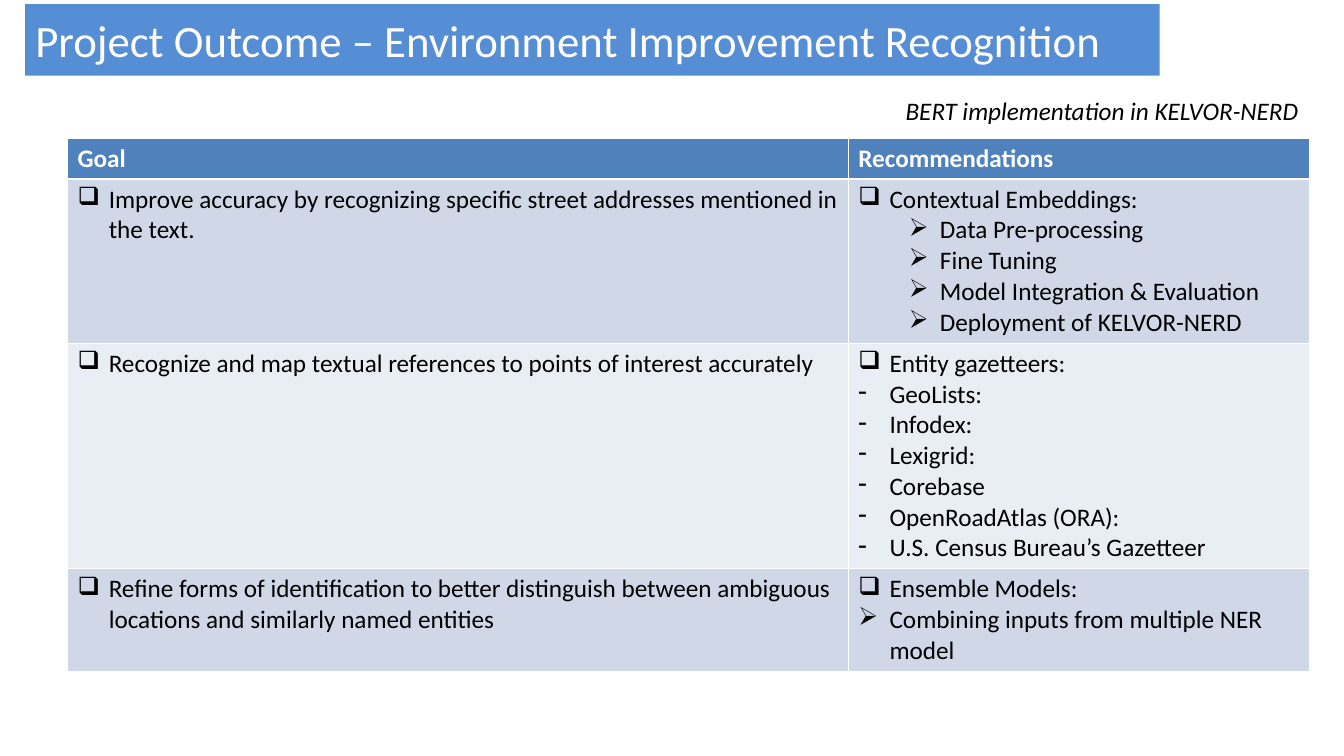
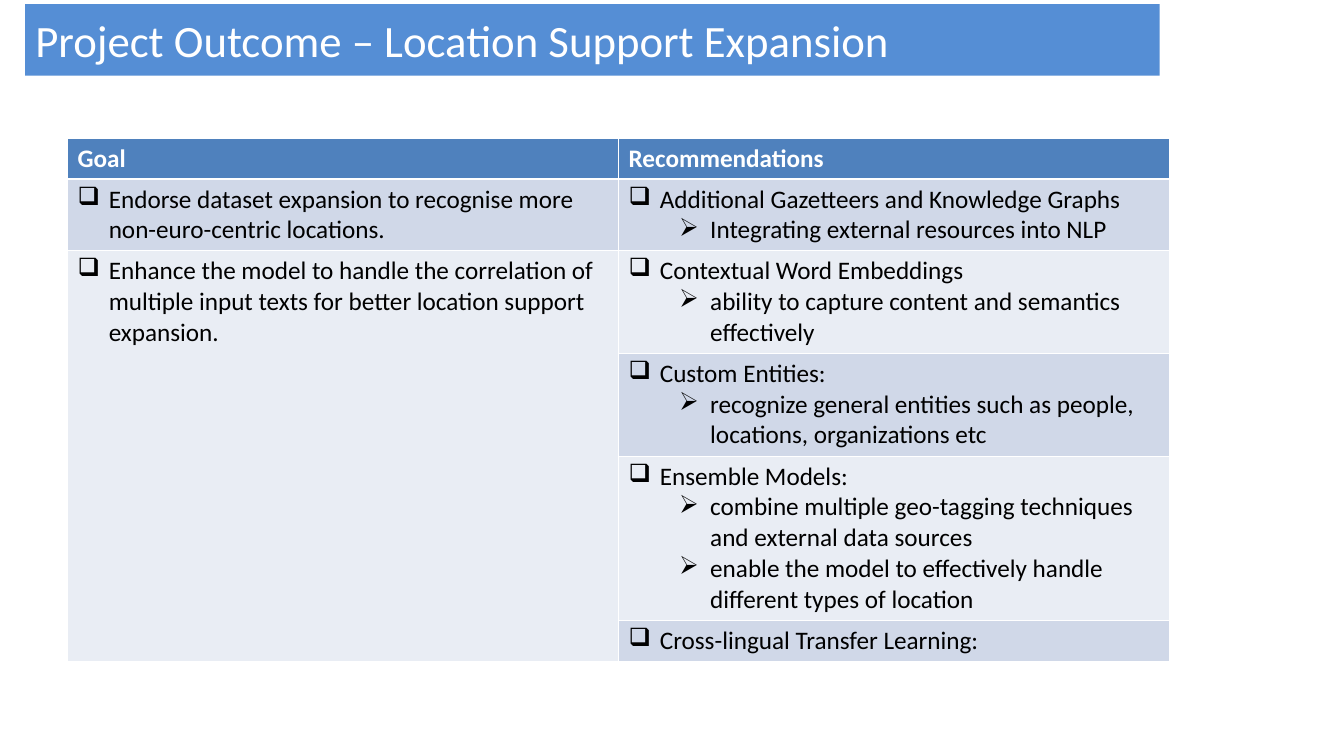
import collections

import pptx
import pptx.dml.color
import pptx.enum.text
import pptx.oxml
import pptx.oxml.ns
import pptx.util

Inches = pptx.util.Inches
Pt = pptx.util.Pt
RGBColor = pptx.dml.color.RGBColor
Align = pptx.enum.text.PP_ALIGN
Anchor = pptx.enum.text.MSO_ANCHOR
AutoSize = pptx.enum.text.MSO_AUTO_SIZE

BAND_BLUE = RGBColor(0x55, 0x8E, 0xD5)
HEADER_BLUE = RGBColor(0x4F, 0x81, 0xBD)
ROW_DARK = RGBColor(0xD0, 0xD8, 0xE8)
ROW_LIGHT = RGBColor(0xE9, 0xED, 0xF4)
WHITE = RGBColor(0xFF, 0xFF, 0xFF)
BLACK = RGBColor(0x00, 0x00, 0x00)

Bullet = collections.namedtuple("Bullet", "mark indent level")
BOX = Bullet("❑", 0.31, 0)
STEP = Bullet("➢", 0.81, 1)
POINT = Bullet("➢", 0.31, 1)
DASH = Bullet("-", 0.31, 0)
HANGING = 0.31

HEADINGS = ("Goal", "Recommendations")
THIN, THICK = 0.45, 1.47

RECOGNITION = [
    ([(BOX, "Improve accuracy by recognizing specific street addresses mentioned in the text.")],
     [(BOX, "Contextual Embeddings:"),
      (STEP, "Data Pre-processing"),
      (STEP, "Fine Tuning"),
      (STEP, "Model Integration & Evaluation"),
      (STEP, "Deployment of KELVOR-NERD")]),
    ([(BOX, "Recognize and map textual references to points of interest accurately")],
     [(BOX, "Entity gazetteers:"),
      (DASH, "GeoLists:"),
      (DASH, "Infodex:"),
      (DASH, "Lexigrid:"),
      (DASH, "Corebase"),
      (DASH, "OpenRoadAtlas (ORA):"),
      (DASH, "U.S. Census Bureau’s Gazetteer")]),
    ([(BOX, "Refine forms of identification to better distinguish between ambiguous "
            "locations and similarly named entities")],
     [(BOX, "Ensemble Models:"),
      (POINT, "Combining inputs from multiple NER model")]),
]

EXPANSION = [
    ([(BOX, "Endorse dataset expansion to recognise more non-euro-centric locations.")],
     [(BOX, "Additional Gazetteers and Knowledge Graphs"),
      (STEP, "Integrating external resources into NLP")]),
    ([(BOX, "Enhance the model to handle the correlation of multiple input texts "
            "for better location support expansion.")],
     [(BOX, "Contextual Word Embeddings"),
      (STEP, "ability to capture content and semantics effectively")]),
    ([],
     [(BOX, "Custom Entities:"),
      (STEP, "recognize general entities such as people, locations, organizations etc")]),
    ([],
     [(BOX, "Ensemble Models:"),
      (STEP, "combine multiple geo-tagging techniques and external data sources"),
      (STEP, "enable the model to effectively handle different types of location")]),
    ([],
     [(BOX, "Cross-lingual Transfer Learning:")]),
]


class Deck:
    font = "Calibri"
    title_size = 32
    text_size = 18

    def __init__(self):
        self.presentation = pptx.Presentation()
        self.presentation.slide_width = Inches(13.34)
        self.presentation.slide_height = Inches(7.5)
        self.slide = None

    def add_slide(self, heading):
        self.slide = self.presentation.slides.add_slide(self.presentation.slide_layouts[5])
        band = self.slide.shapes.title
        band.left, band.top = Inches(0.25), Inches(0.04)
        band.width, band.height = Inches(11.26), Inches(0.71)
        band.fill.solid()
        band.fill.fore_color.rgb = BAND_BLUE
        frame = band.text_frame
        frame.auto_size = AutoSize.NONE
        frame.word_wrap = True
        frame.vertical_anchor = Anchor.MIDDLE
        frame.paragraphs[0].alignment = Align.LEFT
        self.add_run(frame.paragraphs[0], heading, WHITE, size=self.title_size)

    def add_run(self, paragraph, text, color, size=text_size, bold=False, italic=False):
        run = paragraph.add_run()
        run.text = text
        run.font.name = self.font
        run.font.size = Pt(size)
        run.font.bold = bold
        run.font.italic = italic
        run.font.color.rgb = color

    def add_caption(self, text, left, top, width, height):
        caption = self.slide.shapes.add_textbox(
            Inches(left), Inches(top), Inches(width), Inches(height))
        caption.text_frame.word_wrap = True
        self.add_run(caption.text_frame.paragraphs[0], text, BLACK, italic=True)

    def set_bullet(self, paragraph, bullet):
        paragraph.level = bullet.level
        properties = paragraph._p.get_or_add_pPr()
        properties.set("marL", str(Inches(bullet.indent)))
        properties.set("indent", str(-Inches(HANGING)))
        namespace = pptx.oxml.ns.nsdecls("a")
        properties.append(pptx.oxml.parse_xml(
            f'<a:buClr {namespace}><a:srgbClr val="{BLACK}"/></a:buClr>'))
        properties.append(pptx.oxml.parse_xml(
            f'<a:buChar {namespace} char="{bullet.mark}"/>'))

    def style_cell(self, cell, fill, top=THIN, bottom=THIN):
        cell.margin_left = cell.margin_right = Inches(0.1)
        cell.margin_top = cell.margin_bottom = Inches(0.05)
        cell.fill.solid()
        cell.fill.fore_color.rgb = fill
        properties = cell._tc.get_or_add_tcPr()
        sides = (("L", THIN), ("R", THIN), ("T", top), ("B", bottom))
        for position, (side, width) in enumerate(sides):
            properties.insert(position, pptx.oxml.parse_xml(
                f'<a:ln{side} {pptx.oxml.ns.nsdecls("a")} w="{Pt(width)}">'
                f'<a:solidFill><a:srgbClr val="{WHITE}"/></a:solidFill></a:ln{side}>'))

    def fill_list(self, cell, items):
        for index, (bullet, text) in enumerate(items):
            frame = cell.text_frame
            paragraph = frame.add_paragraph() if index else frame.paragraphs[0]
            self.set_bullet(paragraph, bullet)
            self.add_run(paragraph, text, BLACK)

    def add_goal_table(self, widths, heights, rows):
        table = self.slide.shapes.add_table(
            len(heights), len(widths), Inches(0.67), Inches(1.37),
            Inches(sum(widths)), Inches(sum(heights))).table
        for column, width in zip(table.columns, widths):
            column.width = Inches(width)
        for row, height in zip(table.rows, heights):
            row.height = Inches(height)
        for column, heading in enumerate(HEADINGS):
            cell = table.cell(0, column)
            self.style_cell(cell, HEADER_BLUE, bottom=THICK)
            self.add_run(cell.text_frame.paragraphs[0], heading, WHITE, bold=True)
        goal_row = 1
        for number, row in enumerate(rows, start=1):
            fill = ROW_DARK if number % 2 else ROW_LIGHT
            for column, items in enumerate(row):
                cell = table.cell(number, column)
                self.style_cell(cell, fill, top=THICK if number == 1 else THIN)
                self.fill_list(cell, items)
            if row[0]:
                goal_row = number
        if goal_row < len(rows):
            table.cell(goal_row, 0).merge(table.cell(len(rows), 0))


def main():
    deck = Deck()

    deck.add_slide("Project Outcome – Environment Improvement Recognition")
    deck.add_goal_table((7.75, 4.58), (0.4, 1.63, 2.23, 1.02), RECOGNITION)
    deck.add_caption("BERT implementation in KELVOR-NERD", 8.89, 0.9, 4.44, 0.4)

    deck.add_slide("Project Outcome – Location Support Expansion")
    deck.add_goal_table((5.47, 5.47), (0.4, 0.71, 1.02, 1.02, 1.63, 0.4), EXPANSION)

    deck.presentation.save("out.pptx")


if __name__ == "__main__":
    main()
